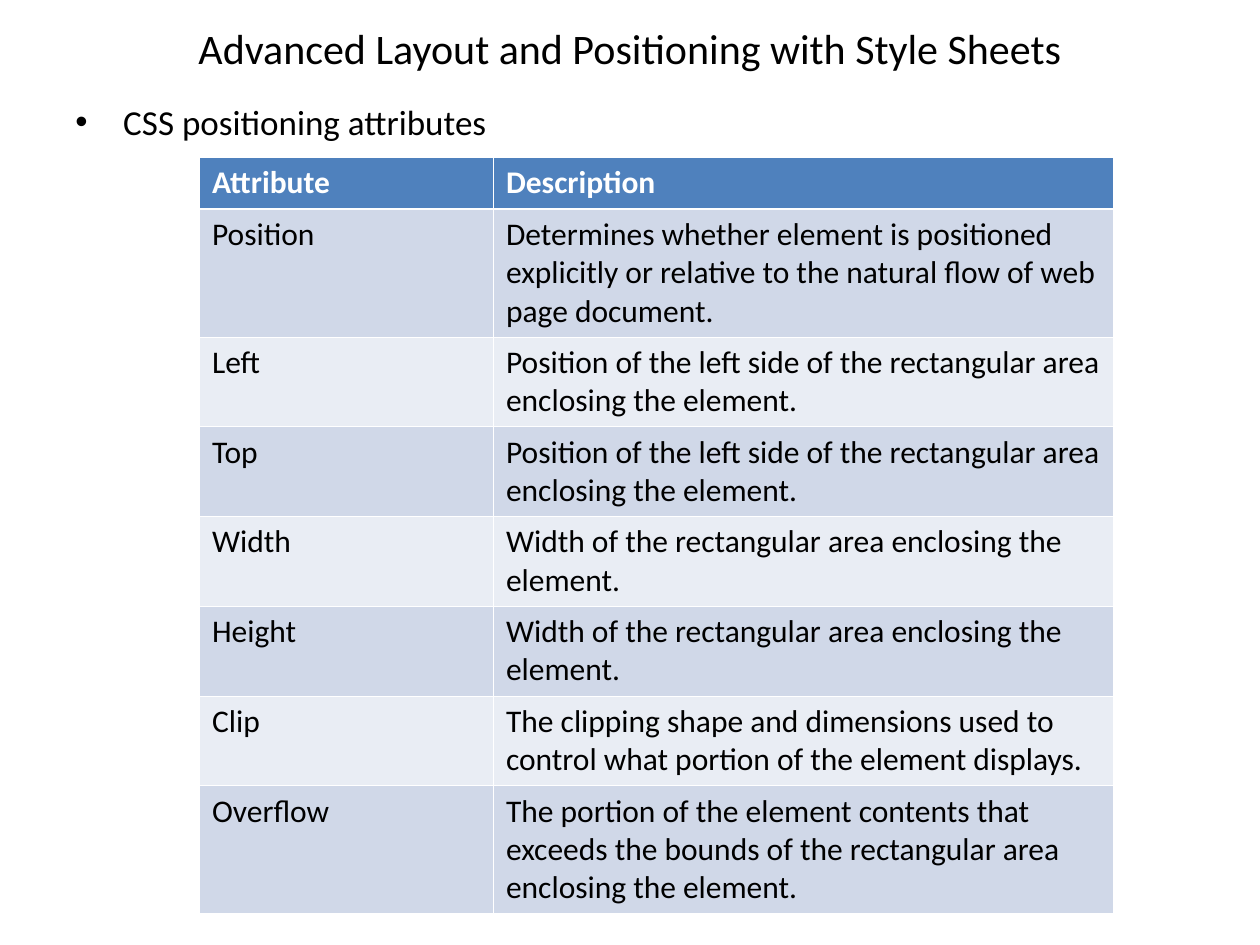
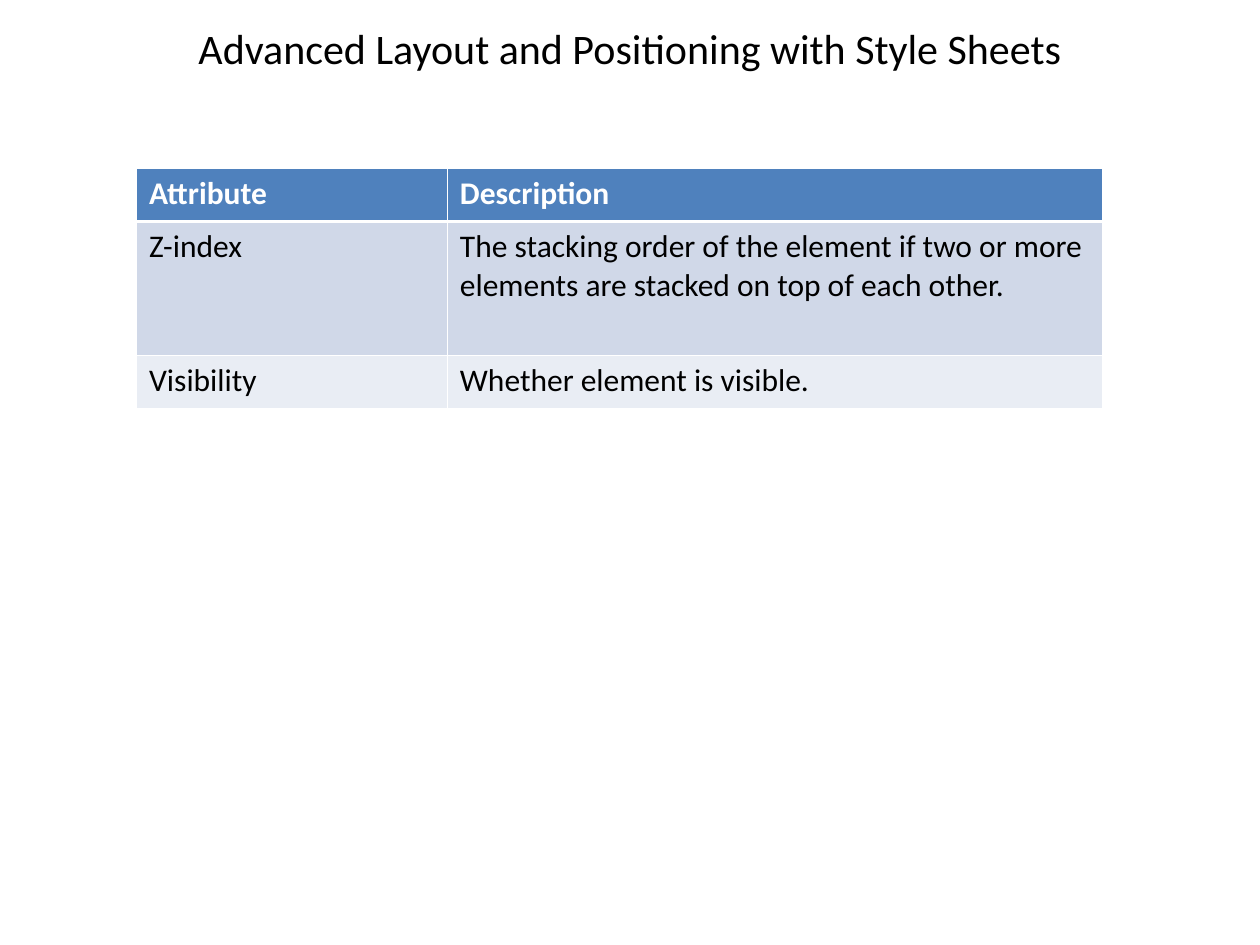
from lxml import etree
from pptx import Presentation
from pptx import util as u
from pptx.dml.color import RGBColor
from pptx.enum import text as t
from pptx.oxml import ns

COLOURS = {"ink": "000000", "paper": "FFFFFF", "header": "4F81BD",
           "odd": "D0D8E8", "even": "E9EDF4"}
FONT = "Calibri"
UNIT = u.Inches(1) / 12  # the slide is a grid of 120 columns by 90 rows
SLIDE_COLUMNS, SLIDE_ROWS = 120, 90
ATTRIBUTE_SHARE = 28 / 87
THIN, THICK = 0.45, 1.47

TITLE = "Advanced Layout and Positioning with Style Sheets"
TITLE_BOX = (6, 0, 108, 9)
TOPIC_BOX = (6, 7, 108, 81)
HEADINGS = ("Attribute", "Description")
SIDE = "Position of the left side of the rectangular area enclosing the element."
EXTENT = "Width of the rectangular area enclosing the element."
BOX_ATTRIBUTES = [
    ("Position", "Determines whether element is positioned explicitly or relative "
                 "to the natural flow of web page document."),
    ("Left", SIDE),
    ("Top", SIDE),
    ("Width", EXTENT),
    ("Height", EXTENT),
    ("Clip", "The clipping shape and dimensions used to control what portion of "
             "the element displays."),
    ("Overflow", "The portion of the element contents that exceeds the bounds of "
                 "the rectangular area enclosing the element."),
]
LAYER_ATTRIBUTES = [
    ("Z-index", "The stacking order of the element if two or more elements are "
                "stacked on top of each other."),
    ("Visibility", "Whether element is visible."),
]


def grid(count):
    return u.Emu(round(count * UNIT))


def colour(name):
    return RGBColor.from_string(COLOURS[name])


def add_run(paragraph, words, size, ink="ink", bold=False):
    run = paragraph.add_run()
    run.text = words
    run.font.name = FONT
    run.font.size = u.Pt(size)
    run.font.bold = bold
    run.font.color.rgb = colour(ink)


def add_frame(slide, box, anchor):
    """Add a wrapping text box and return its first paragraph."""
    frame = slide.shapes.add_textbox(*map(grid, box)).text_frame
    frame.word_wrap = True
    frame.vertical_anchor = anchor
    return frame.paragraphs[0]


def add_title(slide, box):
    heading = add_frame(slide, box, t.MSO_ANCHOR.MIDDLE)
    heading.alignment = t.PP_ALIGN.CENTER
    add_run(heading, TITLE, 24)


def add_topic(slide, box, words):
    topic = add_frame(slide, box, t.MSO_ANCHOR.TOP)
    topic.line_spacing = 1.5
    topic.space_before = u.Pt(5)
    properties = topic._p.get_or_add_pPr()
    hang = u.Inches(0.38)
    properties.set("marL", str(hang))
    properties.set("indent", str(-hang))
    etree.SubElement(properties, ns.qn("a:buFont")).set("typeface", "Arial")
    etree.SubElement(properties, ns.qn("a:buChar")).set("char", "•")
    add_run(topic, words, 20)


def add_borders(cell, top, bottom):
    properties = cell._tc.get_or_add_tcPr()
    for edge, width in (("L", THIN), ("R", THIN), ("T", top), ("B", bottom)):
        line = etree.SubElement(properties, ns.qn(f"a:ln{edge}"), w=str(u.Pt(width)))
        fill = etree.SubElement(line, ns.qn("a:solidFill"))
        etree.SubElement(fill, ns.qn("a:srgbClr"), val=COLOURS["paper"])


def add_attribute_table(slide, box, entries, row_heights):
    rows = [HEADINGS, *entries]
    table = slide.shapes.add_table(len(rows), 2, *map(grid, box)).table
    for column, share in zip(table.columns, (ATTRIBUTE_SHARE, 1 - ATTRIBUTE_SHARE)):
        column.width = grid(box[2] * share)
    for index, (entry, height) in enumerate(zip(rows, row_heights)):
        table.rows[index].height = grid(height)
        is_header = index == 0
        band = "header" if is_header else "odd" if index % 2 else "even"
        for cell, words in zip(table.rows[index].cells, entry):
            add_borders(cell, THICK if index == 1 else THIN,
                        THICK if is_header else THIN)
            cell.fill.solid()
            cell.fill.fore_color.rgb = colour(band)
            add_run(cell.text_frame.paragraphs[0], words, 18,
                    "paper" if is_header else "ink", is_header)


def add_slide(deck):
    """Add a blank slide with the shared background and title."""
    slide = deck.slides.add_slide(deck.slide_layouts[6])
    slide.background.fill.solid()
    slide.background.fill.fore_color.rgb = colour("paper")
    add_title(slide, TITLE_BOX)
    return slide


def main():
    deck = Presentation()
    deck.slide_width, deck.slide_height = grid(SLIDE_COLUMNS), grid(SLIDE_ROWS)

    box_slide = add_slide(deck)
    add_topic(box_slide, TOPIC_BOX, "CSS positioning attributes")
    one_line, two_lines, three_lines = 4.9, 8.55, 12.2
    add_attribute_table(box_slide, (19, 15, 87, 72), BOX_ATTRIBUTES,
                        [one_line, three_lines, *[two_lines] * 5, three_lines])

    layer_slide = add_slide(deck)
    add_attribute_table(layer_slide, (13, 16, 92, 23), LAYER_ATTRIBUTES,
                        [5.1, 12.7, 5.1])

    deck.save("out.pptx")


if __name__ == "__main__":
    main()
